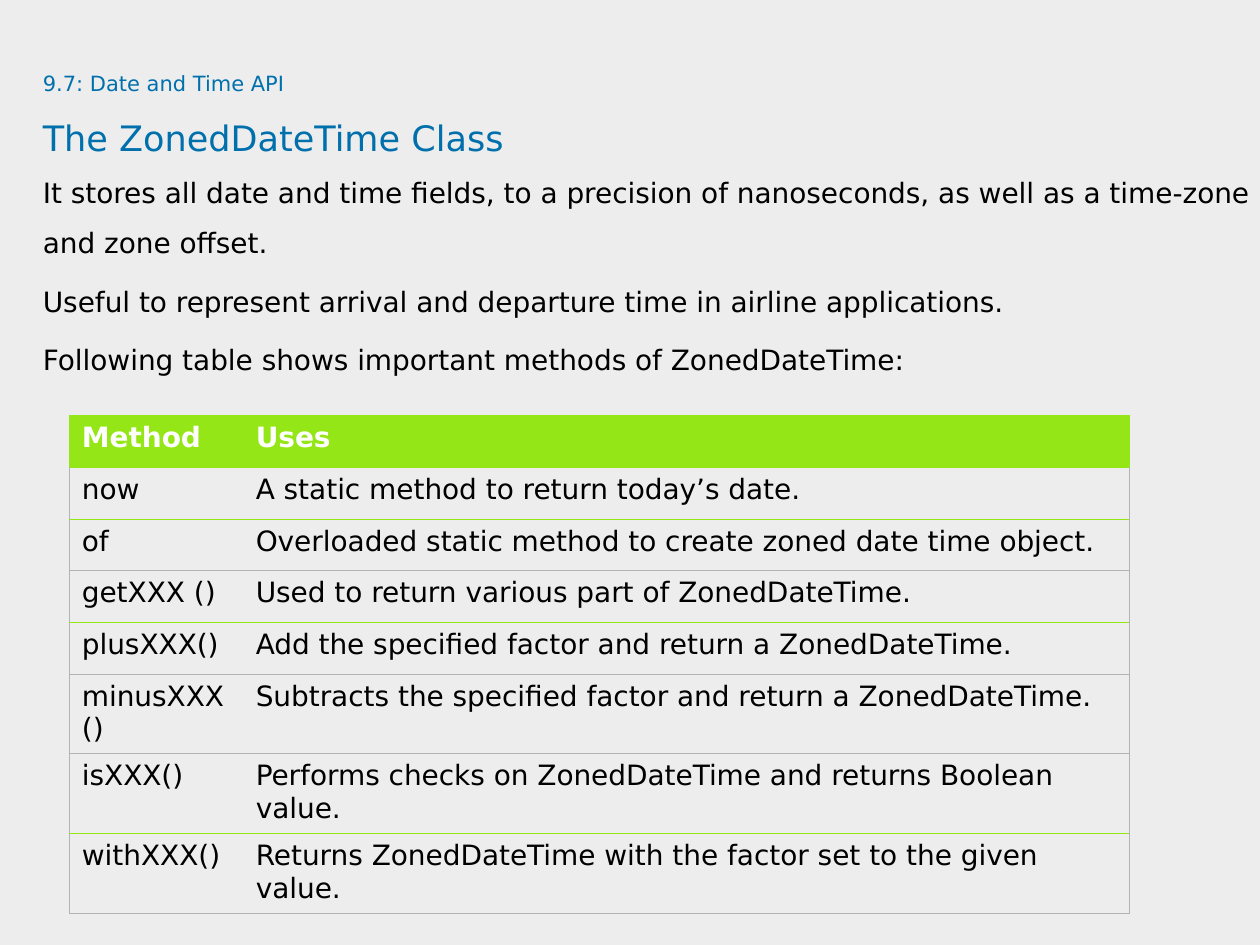
from lxml import etree
from pptx import Presentation
from pptx.dml.color import RGBColor
from pptx.enum.text import MSO_ANCHOR
from pptx.oxml.ns import qn
from pptx.util import Inches, Pt

TOP = MSO_ANCHOR.TOP
FONT = "DejaVu Sans"
BACKGROUND, BLUE, BLACK, WHITE = "EDEDED", "0070AD", "000000", "FFFFFF"
GREEN, GRAY = "95E616", "B3B3B3"

TITLE_LINES = [("9.7: Date and Time API", 12), ("The ZonedDateTime Class", 20)]
BODY = [
    "It stores all date and time fields, to a precision of nanoseconds, "
    "as well as a time-zone and zone offset.",
    "Useful to represent arrival and departure time in airline applications.",
    "Following table shows important methods of ZonedDateTime:",
]
METHODS = [
    ("Method", "Uses"),
    ("now", "A static method to return today’s date."),
    ("of", "Overloaded static method to create zoned date time object."),
    ("getXXX ()", "Used to return various part of ZonedDateTime."),
    ("plusXXX()", "Add the specified factor and return a ZonedDateTime."),
    ("minusXXX()", "Subtracts the specified factor and return a ZonedDateTime."),
    ("isXXX()", "Performs checks on ZonedDateTime and returns Boolean value."),
    ("withXXX()", "Returns ZonedDateTime with the factor set to the given value."),
]
GREEN_RULES = {0, 1, 2, 4, 7}  # numbers of the horizontal rules drawn in green


def color(value):
    return RGBColor.from_string(value)


def format_span(span, size, fill, bold=False):
    span.font.name = FONT
    span.font.size = Pt(size)
    span.font.bold = bold
    span.font.color.rgb = color(fill)


def add_text_frame(page, left, top, width, height):
    box = page.shapes.add_textbox(Inches(left), Inches(top), Inches(width), Inches(height))
    frame = box.text_frame
    frame.word_wrap = True
    frame.vertical_anchor = TOP
    frame.margin_left = frame.margin_right = frame.margin_top = frame.margin_bottom = 0
    return frame


def add_title(page, left, top, width, height):
    frame = add_text_frame(page, left, top, width, height)
    para = frame.paragraphs[0]
    para.text = "\v".join(text for text, size in TITLE_LINES)
    para.line_spacing = 1.5
    for span, (text, size) in zip(para.runs, TITLE_LINES):
        format_span(span, size, BLUE)


def add_body(page, left, top, width, height):
    frame = add_text_frame(page, left, top, width, height)
    frame.text = "\n".join(BODY)
    for para in frame.paragraphs:
        para.line_spacing = 1.5
        para.space_after = Pt(4.5)
        format_span(para.runs[0], 16, BLACK)


def set_borders(cell, sides):
    """Draw the left, right, top and bottom borders; None hides one."""
    properties = cell._tc.get_or_add_tcPr()
    for position, (tag, fill) in enumerate(zip(("a:lnL", "a:lnR", "a:lnT", "a:lnB"), sides)):
        line = etree.Element(qn(tag), w=str(Pt(0.5)))
        if fill:
            solid = etree.SubElement(line, qn("a:solidFill"))
            etree.SubElement(solid, qn("a:srgbClr"), val=fill)
        else:
            etree.SubElement(line, qn("a:noFill"))
        properties.insert(position, line)


def add_methods_table(page, left, top, widths, row_height):
    count = len(METHODS)
    table = page.shapes.add_table(
        count, len(widths), Inches(left), Inches(top),
        Inches(sum(widths)), Inches(row_height * count)).table
    table.horz_banding = False
    for column, width in zip(table.columns, widths):
        column.width = Inches(width)

    rules = [GREEN if number in GREEN_RULES else GRAY for number in range(count + 1)]
    rules[1] = GREEN
    for row, texts in enumerate(METHODS):
        header = row == 0
        table.rows[row].height = Inches(row_height)
        edge = GREEN if header else GRAY
        for column, text in enumerate(texts):
            cell = table.cell(row, column)
            cell.text_frame.text = text
            format_span(cell.text_frame.paragraphs[0].runs[0], 16,
                        WHITE if header else BLACK, header)
            if header:
                cell.fill.solid()
                cell.fill.fore_color.rgb = color(GREEN)
            else:
                cell.fill.background()
            set_borders(cell, (edge if column == 0 else None,
                               edge if column == len(texts) - 1 else None,
                               rules[row], rules[row + 1]))


def main():
    deck = Presentation()
    deck.slide_width, deck.slide_height = Inches(10), Inches(7.5)
    page = deck.slides.add_slide(deck.slide_layouts[6])
    page.background.fill.solid()
    page.background.fill.fore_color.rgb = color(BACKGROUND)

    add_title(page, 0.34, 0.46, 9.09, 0.94)
    add_body(page, 0.34, 1.26, 9.67, 5.08)
    add_methods_table(page, 0.55, 3.3, (1.38, 7.03), 0.41)
    deck.save("out.pptx")


if __name__ == "__main__":
    main()
